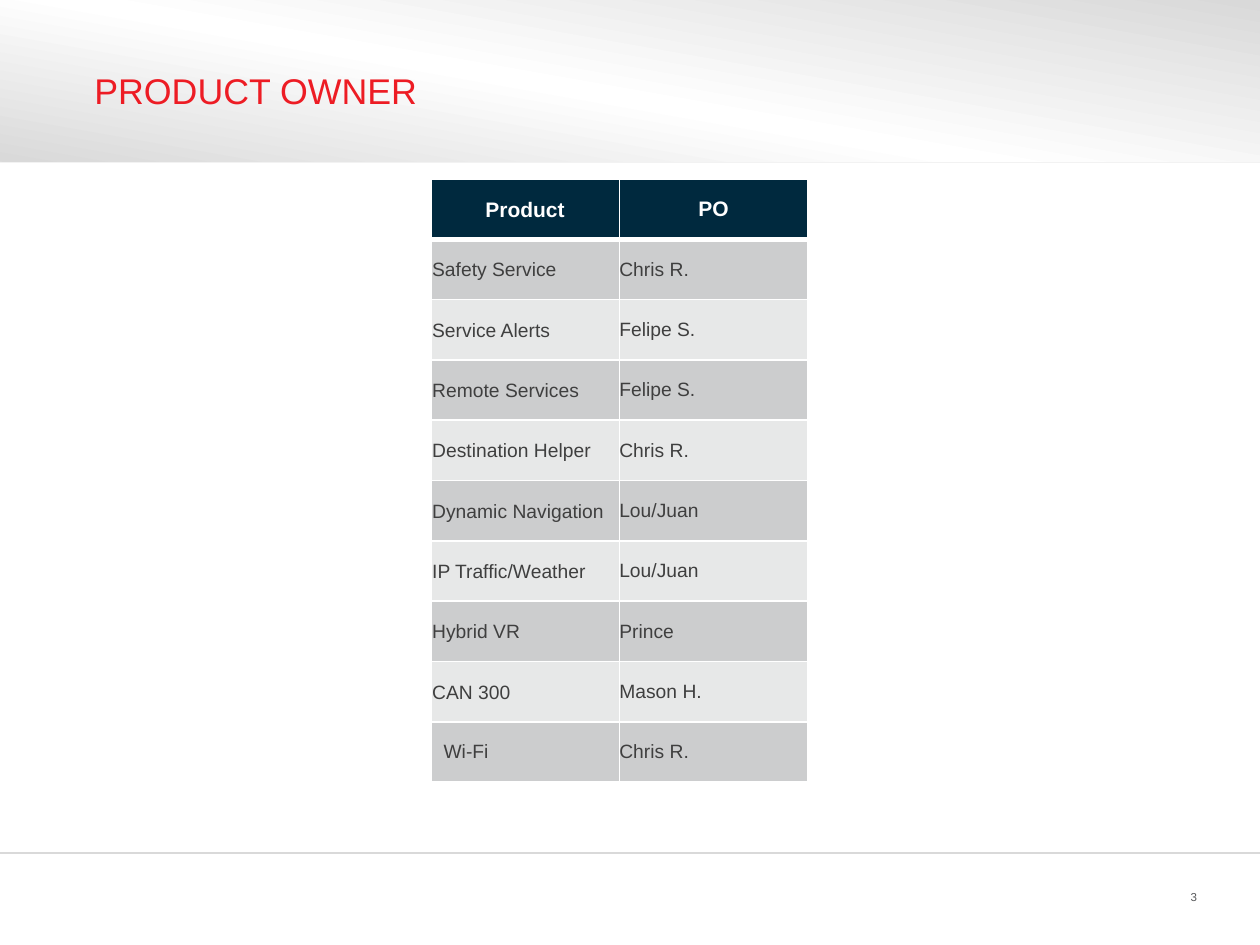
"""Build the product owner slide: title band, owner table and footer."""
from copy import deepcopy

from lxml.etree import SubElement
from pptx import Presentation
from pptx.dml.color import RGBColor
from pptx.enum.shapes import MSO_CONNECTOR as Connector, MSO_SHAPE as Shape
from pptx.enum.text import MSO_ANCHOR as Anchor, PP_ALIGN as Align
from pptx.oxml.ns import qn
from pptx.util import Inches, Pt

colour = RGBColor.from_string

deck = Presentation()
deck.slide_width, deck.slide_height = Inches(10), Inches(7.5)
COLUMN, ROW = deck.slide_width / 100, deck.slide_height / 75
page = deck.slides.add_slide(deck.slide_layouts[6])


def place(*units):
    """Turn alternating grid columns and rows into slide lengths."""
    return [round(unit * (ROW if i % 2 else COLUMN)) for i, unit in enumerate(units)]


def write(frame, text, size, ink, align=Align.LEFT, bold=False):
    """Put one formatted line of text into a text frame."""
    para = frame.paragraphs[0]
    para.alignment = align
    span = para.add_run()
    span.text = text
    span.font.name, span.font.size, span.font.bold = "Arial", Pt(size), bold
    span.font.color.rgb = colour(ink)


band = page.shapes.add_shape(Shape.RECTANGLE, *place(0, 0, 100, 12.8))
band.shadow.inherit = False
band.line.fill.background()
band.fill.gradient()
band.fill.gradient_angle = 260
first_stop = band._element.spPr.find(".//" + qn("a:gs"))
first_stop.addnext(deepcopy(first_stop))
for stop, (position, shade) in zip(
    band.fill.gradient_stops, [(0, "D9D9D9"), (0.55, "FFFFFF"), (1, "D9D9D9")]
):
    stop.position = position
    stop.color.rgb = colour(shade)

for height, shade in [(12.9, "F2F2F2"), (67.7, "D9D9D9")]:
    rule = page.shapes.add_connector(Connector.STRAIGHT, *place(0, height, 100, height))
    rule.line.color.rgb = colour(shade)
    rule.line.width = Pt(1)
    SubElement(rule._element.spPr, qn("a:effectLst"))

for area, inset, wrap, text, size, ink, align in [
    ((6, 1.5, 88, 11.3), 0.15, True, "PRODUCT OWNER", 20.4, "ED1C24", Align.LEFT),
    ((89.2, 70.1, 5.8, 2.2), 0, False, "3", 6.6, "58595B", Align.RIGHT),
]:
    frame = page.shapes.add_textbox(*place(*area)).text_frame
    frame.word_wrap = wrap
    frame.vertical_anchor = Anchor.MIDDLE
    frame.margin_left = frame.margin_right = Inches(inset)
    frame.margin_top = frame.margin_bottom = 0
    write(frame, text, size, ink, align)

owners = [
    ("Product", "PO"),
    ("Safety Service", "Chris R."),
    ("Service Alerts", "Felipe S."),
    ("Remote Services", "Felipe S."),
    ("Destination Helper", "Chris R."),
    ("Dynamic Navigation", "Lou/Juan"),
    ("IP Traffic/Weather", "Lou/Juan"),
    ("Hybrid VR", "Prince"),
    ("CAN 300", "Mason H."),
    ("Wi-Fi", "Chris R."),
]
table = page.shapes.add_table(len(owners), 2, *place(34.2, 14.2, 29.9, 47.9)).table
table.first_row = table.horz_banding = False

for r, names in enumerate(owners):
    header = r == 0
    for c, name in enumerate(names):
        cell = table.cell(r, c)
        cell.vertical_anchor = Anchor.MIDDLE
        if name != "Wi-Fi":
            inset = Inches(0 if c else 0.01)
            cell.margin_left = cell.margin_top = cell.margin_right = inset
            cell.margin_bottom = 0
        for side in "LRTB":
            thick = (header and side == "B") or (r == 1 and side == "T")
            border = SubElement(
                cell._tc.get_or_add_tcPr(), qn(f"a:ln{side}"), w=str(Pt(3 if thick else 1))
            )
            SubElement(SubElement(border, qn("a:solidFill")), qn("a:srgbClr"), val="FFFFFF")
        cell.fill.solid()
        cell.fill.fore_color.rgb = colour(
            "00293E" if header else "CCCDCE" if r % 2 else "E7E8E8"
        )
        if header:
            write(cell.text_frame, name, 12, "FFFFFF", Align.CENTER, bold=True)
        else:
            write(cell.text_frame, name, 11, "3F3F3F")

deck.save("out.pptx")
